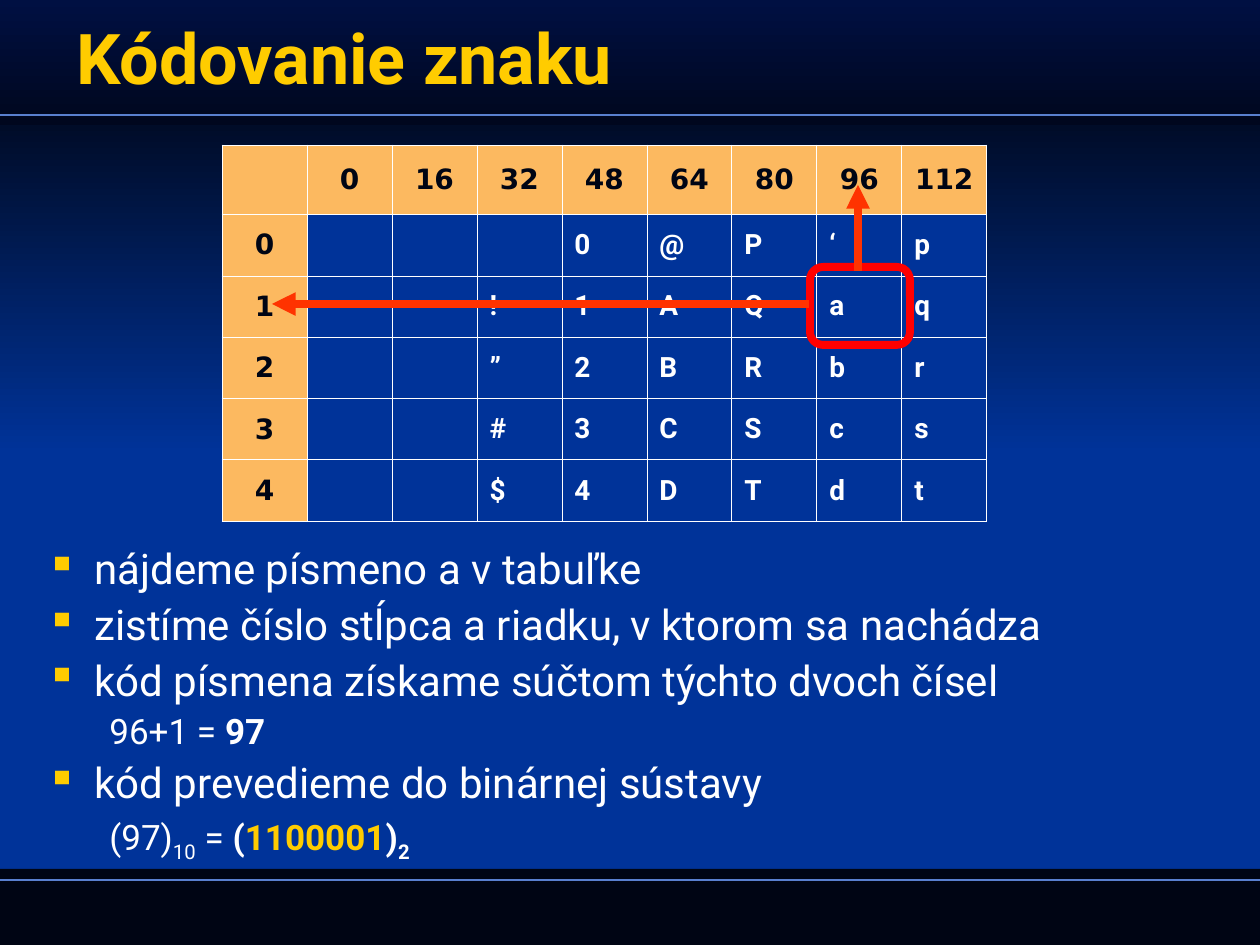
from lxml.etree import SubElement
from pptx import Presentation
from pptx.dml.color import RGBColor
from pptx.enum.shapes import MSO_CONNECTOR, MSO_SHAPE
from pptx.enum.text import MSO_ANCHOR, PP_ALIGN
from pptx.oxml import parse_xml
from pptx.oxml.ns import nsdecls, qn
from pptx.util import Emu, Pt

BLUE = RGBColor(0x00, 0x33, 0x99)
INK = RGBColor(0x00, 0x05, 0x14)
NAVY = RGBColor(0x00, 0x10, 0x42)
MIDNIGHT = RGBColor(0x00, 0x07, 0x1E)
RULE = RGBColor(0x59, 0x80, 0xCF)
YELLOW = RGBColor(0xFF, 0xCC, 0x00)
WHITE = RGBColor(0xFF, 0xFF, 0xFF)
ORANGE = RGBColor(0xFC, 0xB9, 0x60)
RED = RGBColor(0xFF, 0x00, 0x00)
ARROW = RGBColor(0xFF, 0x33, 0x00)

TITLE = {"name": "Roboto", "size": Pt(40), "bold": True, "color": YELLOW}
BODY = {"name": "Roboto", "size": Pt(24), "color": WHITE}
SUB = {**BODY, "size": Pt(20)}
STRONG = {**SUB, "bold": True}
HEAD = {"name": "DejaVu Sans", "size": Pt(16), "bold": True, "color": INK}
CELL = {"name": "Roboto", "size": Pt(16), "bold": True, "color": WHITE}

STEP = {"line_spacing": 0.9, "space_before": Pt(6)}
RESULT = {"line_spacing": 0.9, "space_before": Pt(5), "level": 1}

CODES = [
    ["", "0", "16", "32", "48", "64", "80", "96", "112"],
    ["0", "", "", "", "0", "@", "P", "‘", "p"],
    ["1", "", "", "!", "1", "A", "Q", "a", "q"],
    ["2", "", "", "”", "2", "B", "R", "b", "r"],
    ["3", "", "", "#", "3", "C", "S", "c", "s"],
    ["4", "", "", "$", "4", "D", "T", "d", "t"],
]
COLUMN = 85
ROWS = [69, 62, 61, 62, 61, 62]

STEPS = [
    (True, [("nájdeme písmeno a v tabuľke", BODY)]),
    (True, [("zistíme číslo stĺpca a riadku, v ktorom sa nachádza", BODY)]),
    (True, [("kód písmena získame súčtom týchto dvoch čísel", BODY)]),
    (False, [("96+1 = ", SUB), ("97", STRONG)]),
    (True, [("kód prevedieme do binárnej sústavy", BODY)]),
    (False, [
        ("(97)", SUB),
        ("10", {**SUB, "baseline": -25000}),
        (" = ", SUB),
        ("(", STRONG),
        ("1100001", {**STRONG, "color": YELLOW}),
        (")", STRONG),
        ("2", {**STRONG, "baseline": -25000}),
    ]),
]


def px(n):
    return Emu(round(n * 914400 / 126))


class Deck:
    def __init__(self, width, height):
        self.prs = Presentation()
        self.prs.slide_width, self.prs.slide_height = px(width), px(height)
        self.s = self.prs.slides.add_slide(self.prs.slide_layouts[6])

    def background(self, color):
        fill = self.s.background.fill
        fill.solid()
        fill.fore_color.rgb = color

    def shape(self, box, kind=MSO_SHAPE.RECTANGLE, fill=None, line=None, width=1):
        sp = self.s.shapes.add_shape(kind, *map(px, box))
        sp.shadow.inherit = False
        if fill is None:
            sp.fill.background()
        elif isinstance(fill, list):
            sp.fill.gradient()
            sp.fill.gradient_angle = 270
            for stop, color in zip(sp.fill.gradient_stops, fill):
                stop.color.rgb = color
        else:
            sp.fill.solid()
            sp.fill.fore_color.rgb = fill
        if line is None:
            sp.line.fill.background()
        else:
            sp.line.color.rgb = line
            sp.line.width = Pt(width)

    def line(self, start, end, color, width, arrow=False):
        sp = self.s.shapes.add_connector(MSO_CONNECTOR.STRAIGHT, *map(px, start + end))
        sp.line.color.rgb = color
        sp.line.width = Pt(width)
        if arrow:
            SubElement(sp.line._get_or_add_ln(), qn("a:tailEnd"), type="triangle")
        SubElement(sp._element.spPr, qn("a:effectLst"))

    def run(self, p, text, style):
        r = p.add_run()
        r.text = text
        for key, value in style.items():
            if key == "color":
                r.font.color.rgb = value
            elif key == "baseline":
                r._r.get_or_add_rPr().set(key, str(value))
            else:
                setattr(r.font, key, value)

    def indent(self, p, left, hanging, bullet=None):
        pPr = p._p.get_or_add_pPr()
        pPr.set("marL", str(px(left)))
        pPr.set("indent", str(px(-hanging)))
        if bullet:
            color = SubElement(pPr, qn("a:buClr"))
            SubElement(color, qn("a:srgbClr"), val=str(YELLOW))
            SubElement(pPr, qn("a:buChar"), char=bullet)

    def frame(self, box, anchor):
        tf = self.s.shapes.add_textbox(*map(px, box)).text_frame
        tf.word_wrap = True
        tf.vertical_anchor = anchor
        return tf

    def title(self, box, text):
        tf = self.frame(box, MSO_ANCHOR.MIDDLE)
        self.run(tf.paragraphs[0], text, TITLE)

    def steps(self, box, items):
        tf = self.frame(box, MSO_ANCHOR.TOP)
        for i, (bulleted, runs) in enumerate(items):
            p = tf.add_paragraph() if i else tf.paragraphs[0]
            if bulleted:
                self.indent(p, 48, 48, "▪")
            else:
                self.indent(p, 102, 39)
            for key, value in (STEP if bulleted else RESULT).items():
                if i or key != "space_before":
                    setattr(p, key, value)
            for text, style in runs:
                self.run(p, text, style)

    def borders(self, cell):
        tcPr = cell._tc.get_or_add_tcPr()
        for i, side in enumerate(("lnL", "lnR", "lnT", "lnB")):
            tcPr.insert(i, parse_xml(
                f'<a:{side} {nsdecls("a")} w="{Pt(0.45)}"><a:solidFill>'
                f'<a:srgbClr val="{WHITE}"/></a:solidFill></a:{side}>'))

    def table(self, left, top, rows, column, heights):
        box = (left, top, column * len(rows[0]), sum(heights))
        table = self.s.shapes.add_table(len(rows), len(rows[0]), *map(px, box)).table
        table.first_row = table.horz_banding = False
        for col in table.columns:
            col.width = px(column)
        for i, (row, height) in enumerate(zip(rows, heights)):
            table.rows[i].height = px(height)
            for j, text in enumerate(row):
                head = i == 0 or j == 0
                cell = table.cell(i, j)
                cell.fill.solid()
                cell.fill.fore_color.rgb = ORANGE if head else BLUE
                cell.vertical_anchor = MSO_ANCHOR.MIDDLE
                self.borders(cell)
                if text:
                    p = cell.text_frame.paragraphs[0]
                    p.alignment = PP_ALIGN.CENTER if head else PP_ALIGN.LEFT
                    self.run(p, text, HEAD if head else CELL)


def main():
    deck = Deck(1260, 945)
    deck.background(BLUE)
    deck.shape((0, 869, 1260, 76), fill=INK)
    deck.shape((0, 66, 1260, 388), fill=[INK, BLUE])
    deck.shape((0, 0, 1260, 125), fill=[NAVY, MIDNIGHT])
    for y in (115, 880):
        deck.line((0, y), (1260, y), RULE, 1)
    deck.title((64, 8, 1134, 97), "Kódovanie znaku")
    deck.steps((34, 542, 1171, 328), STEPS)
    deck.table(222, 145, CODES, COLUMN, ROWS)
    deck.shape((810, 267, 100, 78), MSO_SHAPE.ROUNDED_RECTANGLE, line=RED, width=4.5)
    deck.line((858, 271), (858, 185), ARROW, 4.5, arrow=True)
    deck.line((809, 304), (272, 304), ARROW, 4.5, arrow=True)
    deck.prs.save("out.pptx")


if __name__ == "__main__":
    main()
